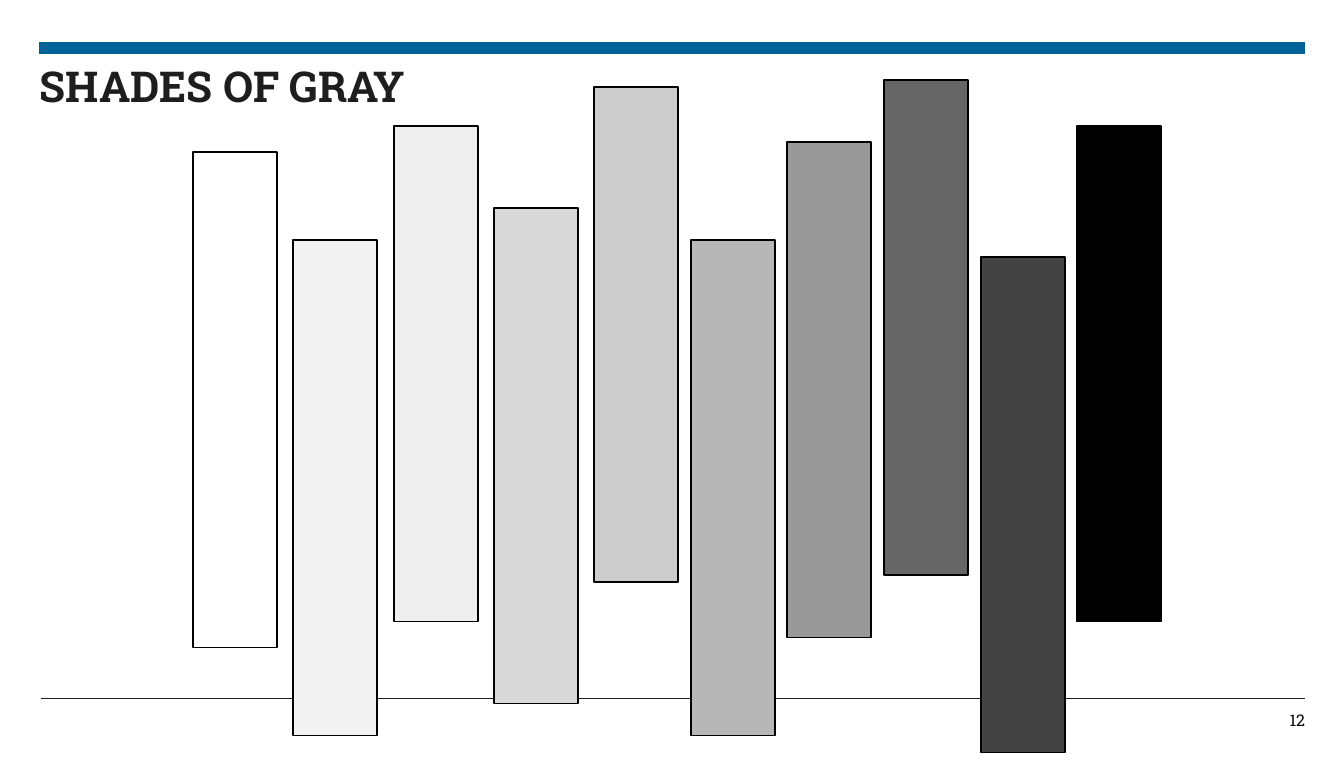
import pptx
import pptx.util
import pptx.dml.color
import pptx.enum.shapes
import pptx.enum.text
import pptx.oxml.ns
import lxml.etree

PX = 5376
COLORS = {"rule": "006298", "ink": "1E1E1E", "number": "080808", "outline": "000000"}
BAR_WIDTH, BAR_HEIGHT = 84, 495
BARS = [
    ("FFFFFF", 152), ("F3F3F3", 240), ("EFEFEF", 126), ("D9D9D9", 208), ("CCCCCC", 87),
    ("B7B7B7", 240), ("999999", 142), ("666666", 80), ("434343", 257), ("000000", 126),
]


def rgb(value):
    return pptx.dml.color.RGBColor.from_string(value)


def write(box, text, size, color, bold=False, align="LEFT", anchor="TOP", right=0):
    frame = box.text_frame
    frame.word_wrap = True
    frame.auto_size = pptx.enum.text.MSO_AUTO_SIZE.NONE
    frame.vertical_anchor = getattr(pptx.enum.text.MSO_ANCHOR, anchor)
    frame.margin_left = frame.margin_top = frame.margin_bottom = 0
    frame.margin_right = right * PX
    para = frame.paragraphs[0]
    para.alignment = getattr(pptx.enum.text.PP_ALIGN, align)
    span = para.add_run()
    span.text = text
    span.font.name = "Roboto Slab"
    span.font.size = pptx.util.Pt(size)
    span.font.bold = bold
    span.font.color.rgb = rgb(color)


deck = pptx.Presentation()
deck.slide_width = pptx.util.Inches(7.9)
deck.slide_height = pptx.util.Inches(4.5)
page = deck.slides.add_slide(deck.slide_layouts[5])

number = page.shapes.add_textbox(1254 * PX, 711 * PX, 51 * PX, 17 * PX)
write(number, "12", 6.8, COLORS["number"], align="RIGHT", anchor="MIDDLE")

for left, top, color, weight in [(39, 48, "rule", 5.25), (41, 698, "ink", 0.75)]:
    line = page.shapes.add_connector(
        pptx.enum.shapes.MSO_CONNECTOR.STRAIGHT, left * PX, top * PX, 1305 * PX, top * PX)
    line.line.color.rgb = rgb(COLORS[color])
    line.line.width = pptx.util.Pt(weight)
    lxml.etree.SubElement(line._element.spPr, pptx.oxml.ns.qn("a:effectLst"))

title = page.shapes.title
title.left, title.top, title.width, title.height = 40 * PX, 60 * PX, 1243 * PX, 46 * PX
write(title, "SHADES OF GRAY", 18, COLORS["ink"], bold=True, right=8)

for index, (shade, top) in enumerate(BARS):
    left = 193 + round(100.3 * index) if index < 5 else 691 + round(96.5 * (index - 5))
    bar = page.shapes.add_shape(
        pptx.enum.shapes.MSO_SHAPE.RECTANGLE,
        left * PX, top * PX, BAR_WIDTH * PX, BAR_HEIGHT * PX)
    bar.shadow.inherit = False
    bar.fill.solid()
    bar.fill.fore_color.rgb = rgb(shade)
    bar.line.color.rgb = rgb(COLORS["outline"])
    bar.line.width = pptx.util.Pt(0.75)

deck.save("out.pptx")
